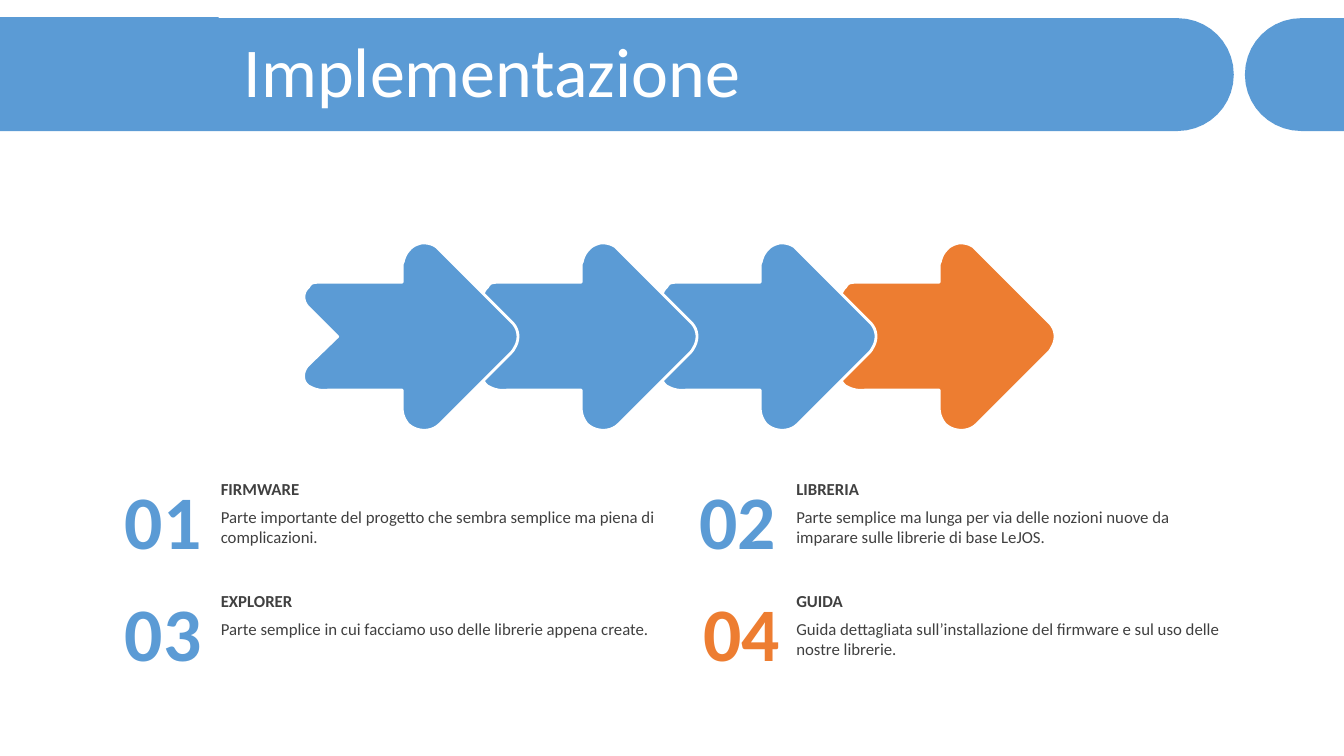
import pptx
import pptx.dml.color
import pptx.enum.shapes
import pptx.enum.text
import pptx.util

WIDTH, HEIGHT = pptx.util.Inches(13.333), pptx.util.Inches(7.5)
CELL = HEIGHT / 750  # the slide is a grid of 750 rows of square cells
COLORS = {"blue": "5B9BD5", "orange": "ED7D31", "dark": "404040", "white": "FFFFFF"}
ALIGN = pptx.enum.text.PP_ALIGN
ANCHOR = pptx.enum.text.MSO_ANCHOR

# Outlines: a start point, then lines (x, y) and curves (x1, y1, x2, y2, x, y).
LEFT_BAND = [
    (0, 18), (1168, 18), (1199, 18, 1224, 43, 1224, 74),
    (1224, 105, 1199, 130, 1168, 130), (0, 130),
]
RIGHT_BAND = [
    (1291, 18), (1333.3, 18), (1333.3, 130), (1291, 130),
    (1260, 130, 1235, 105, 1235, 74), (1235, 43, 1260, 18, 1291, 18),
]
ARROW = [
    (119, 1), (124, 1, 129, 2, 133, 5), (134, 6, 135, 7, 136, 8),
    (207, 79), (215, 86, 216, 97, 210, 106), (209, 108, 208, 109, 207, 110),
    (136, 181), (128, 189, 114, 189, 105, 181), (101, 176, 99, 171, 99, 165),
    (99, 147), (26, 147), (19, 148, 13, 147, 6, 143), (-1, 138, 0, 128, 6, 122),
    (35, 94), (6, 65), (0, 59, 0, 50, 6, 45), (9, 40, 9, 40, 26, 40),
    (99, 40), (99, 24), (99, 23, 99, 21, 100, 20),
    (101, 15, 103, 11, 106, 8), (109, 4, 114, 2, 119, 1),
]
ARROW_LEFT, ARROW_TOP, ARROW_STEP = 300, 240, 177.6

# Number, its left edge, colour, heading, description, description height
STEPS = [
    ("01", 106, "blue", "FIRMWARE",
     "Parte importante del progetto che sembra semplice ma piena di complicazioni.", 50),
    ("02", 676, "blue", "LIBRERIA",
     "Parte semplice ma lunga per via delle nozioni nuove da imparare sulle "
     "librerie di base LeJOS.", 50),
    ("03", 106, "blue", "EXPLORER",
     "Parte semplice in cui facciamo uso delle librerie appena create.", 30),
    ("04", 680, "orange", "GUIDA",
     "Guida dettagliata sull’installazione del firmware e sul uso delle "
     "nostre librerie.", 50),
]
TEXT_LEFT, TEXT_TOP, COLUMN_STEP, ROW_STEP, TEXT_WIDTH = 219, 470, 571, 111, 445

INDENTED = {"margin_left": 0}
FLUSH = {"margin_left": 0, "margin_right": 0, "margin_top": 0, "margin_bottom": 0}


def cells(*lengths):
    return [round(length * CELL) for length in lengths]


def set_all(target, values):
    for name, value in values.items():
        setattr(target, name, value)


def color(name):
    return pptx.dml.color.RGBColor.from_string(COLORS[name])


def paint(shape, fill, outline=None):
    shape.shadow.inherit = False
    shape.fill.solid()
    shape.fill.fore_color.rgb = color(fill)
    if outline:
        shape.line.color.rgb = color(outline)
        shape.line.width = pptx.util.Pt(2)
    else:
        shape.line.fill.background()


def flatten(outline, pieces=10):
    """Turn an outline of lines and cubic curves into a list of points."""
    points = [outline[0]]
    for segment in outline[1:]:
        if len(segment) == 2:
            points.append(segment)
            continue
        (x0, y0), (x1, y1, x2, y2, x3, y3) = points[-1], segment
        for piece in range(1, pieces + 1):
            t = piece / pieces
            weights = ((1 - t) ** 3, 3 * t * (1 - t) ** 2, 3 * t * t * (1 - t), t ** 3)
            points.append((
                sum(w * x for w, x in zip(weights, (x0, x1, x2, x3))),
                sum(w * y for w, y in zip(weights, (y0, y1, y2, y3))),
            ))
    return points


def add_outline(slide, outline, fill, line=None, left=0, top=0):
    points = [cells(left + x, top + y) for x, y in flatten(outline)]
    builder = slide.shapes.build_freeform(*points[0])
    builder.add_line_segments(points[1:], close=True)
    paint(builder.convert_to_shape(), fill, line)


def add_text(slide, box, text, size, ink, bold=False, frame=None, paragraph=None):
    text_frame = slide.shapes.add_textbox(*cells(*box)).text_frame
    set_all(text_frame, {"word_wrap": True, "vertical_anchor": ANCHOR.MIDDLE, **(frame or {})})
    line = text_frame.paragraphs[0]
    set_all(line, paragraph or {})
    run = line.add_run()
    run.text = text
    set_all(run.font, {"name": "Calibri", "size": pptx.util.Pt(size), "bold": bold})
    run.font.color.rgb = color(ink)


def add_banner(slide):
    add_outline(slide, LEFT_BAND, "blue")
    add_outline(slide, RIGHT_BAND, "blue")
    rectangle = pptx.enum.shapes.MSO_SHAPE.RECTANGLE
    paint(slide.shapes.add_shape(rectangle, *cells(0, 17, 217, 113)), "blue")
    add_text(slide, (232, 37, 1069, 79), "Implementazione", 50, "white",
             paragraph={"line_spacing": 0.8, "space_before": pptx.util.Pt(10)})


def add_arrows(slide):
    """Draw from the last arrow to the first, so each tip overlaps the next tail."""
    for index, step in reversed(list(enumerate(STEPS))):
        add_outline(slide, ARROW, step[2], "white",
                    ARROW_LEFT + index * ARROW_STEP, ARROW_TOP)


def add_steps(slide):
    for index, (number, number_left, ink, heading, description, height) in enumerate(STEPS):
        row, column = divmod(index, 2)
        left, top = TEXT_LEFT + column * COLUMN_STEP, TEXT_TOP + row * ROW_STEP
        add_text(slide, (number_left, top, 94, 91), number, 54, ink, True, FLUSH,
                 {"alignment": ALIGN.RIGHT})
        add_text(slide, (left, top, TEXT_WIDTH, 30), heading, 12, "dark", True, INDENTED)
        add_text(slide, (left, top + 28, TEXT_WIDTH, height), description, 12, "dark",
                 frame={**INDENTED, "vertical_anchor": ANCHOR.TOP})


def main():
    presentation = pptx.Presentation()
    set_all(presentation, {"slide_width": WIDTH, "slide_height": HEIGHT})
    slide = presentation.slides.add_slide(presentation.slide_layouts[6])
    add_banner(slide)
    add_arrows(slide)
    add_steps(slide)
    presentation.save("out.pptx")


if __name__ == "__main__":
    main()
